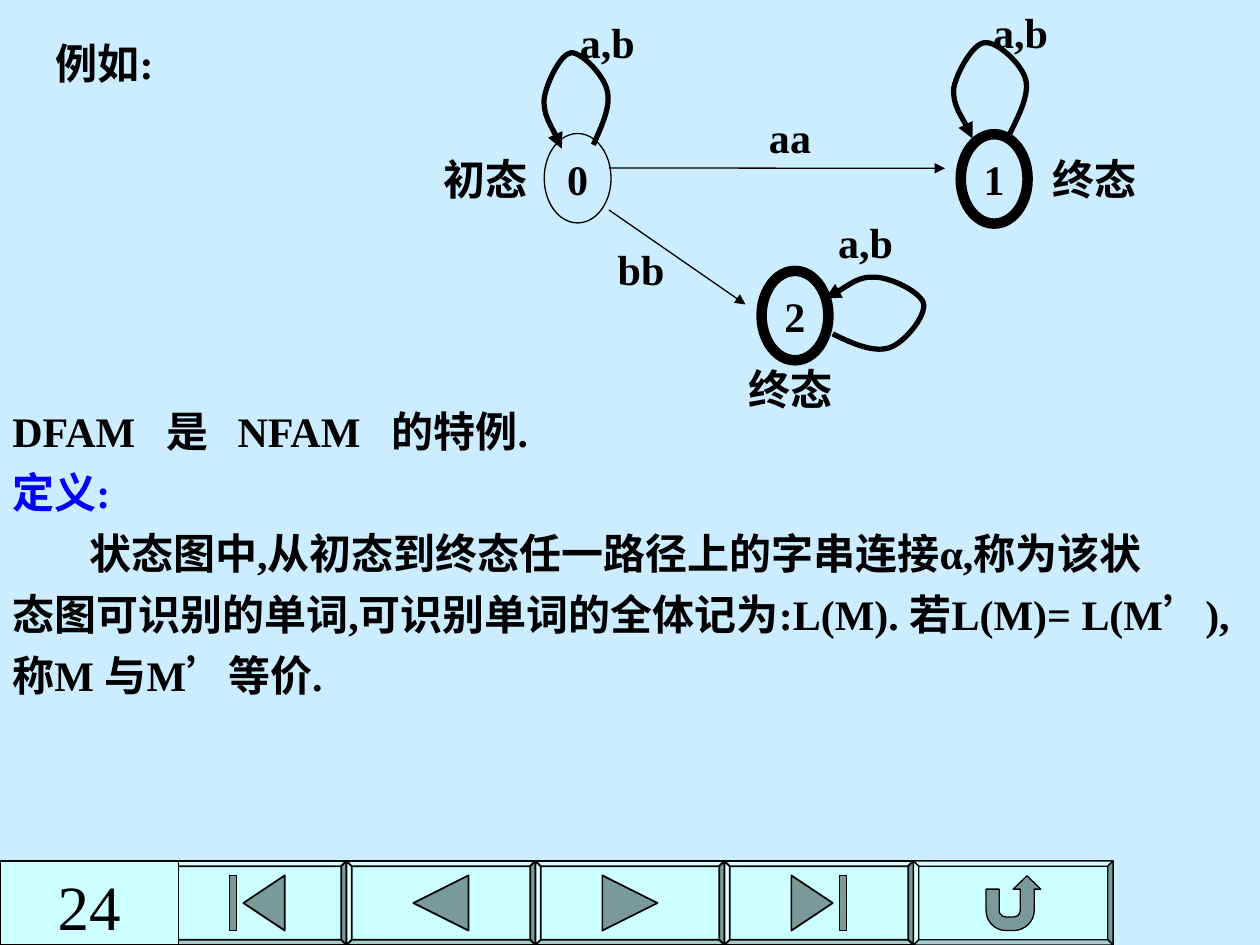
from lxml.etree import SubElement
from pptx import Presentation
from pptx.dml.color import RGBColor
from pptx.enum.shapes import MSO_CONNECTOR, MSO_SHAPE
from pptx.enum.text import MSO_ANCHOR, PP_ALIGN
from pptx.oxml.ns import qn
from pptx.util import Pt

BLACK = RGBColor(0, 0, 0)
BLUE = RGBColor(0, 0, 255)
SKY = RGBColor(0xCC, 0xEC, 0xFF)
FACE = RGBColor(0xCC, 0xFF, 0xFF)
FONT = "Times New Roman"

LABELS = [
    ("例如:", 21.6, 18, 76.3), ("初态", 246.2, 84.2, 62.6), ("终态", 594, 84.2, 62.6),
    ("终态", 420.5, 204.1, 62.6), ("aa", 432, 60.1, 38.9), ("bb", 345.4, 135.4, 41.8),
    ("a,b", 556.6, 0, 53.3), ("a,b", 324, 5.8, 46.1), ("a,b", 468, 120.2, 53.3),
]
STATES = [("0", 311, 76.3, 0.75), ("1", 549, 76.7, 6), ("2", 435.2, 154.8, 6)]
ARROWS = [(348, 120, 426, 174), (348, 96, 540, 96.2)]
LOOPS = [
    [(576.7, 77), (582.5, 65.5), (588.2, 54), (586.1, 45.4), (583.9, 36.7), (569.5, 23),
     (562.3, 24.5), (555.8, 25.2), (546.5, 41.8), (545, 50.4), (544.3, 59.8), (554.4, 74.9),
     (555.8, 79.2)],
    [(339.1, 82.8), (344.2, 71.3), (349.2, 60.5), (347, 51.8), (344.9, 42.5), (331.9, 29.5),
     (326.2, 30.2), (320.4, 31), (312.5, 46.8), (311, 56.2), (310.3, 65.5), (319.7, 80.6),
     (321.1, 85)],
    [(475.9, 190.8), (487.4, 196.6), (499.7, 201.6), (508.3, 198.7), (517, 195.8),
     (529.2, 180.7), (527.8, 173.5), (526.3, 167), (509, 158.4), (499.7, 158.4),
     (491, 157.7), (476.6, 168.5), (471.6, 170.6)],
]
BODY = [
    ("DFAM\t是\tNFAM\t的特例.", {"tabs": (88, 128.7, 216.7)}),
    ("定义:", {"color": BLUE}),
    ("状态图中,从初态到终态任一路径上的字串连接α,称为该状", {"indent": 43.8}),
    ("态图可识别的单词,可识别单词的全体记为:L(M). 若L(M)= L(M’),", {}),
    ("称M 与M’等价.", {}),
]

BUTTON_TOP, BUTTON_BOTTOM, BEVEL = 492, 540, 3
BUTTON_EDGES = [96, 198, 306, 414, 522, 636]
EDGE_SHADES = ["lightenLess", "darken", "darkenLess", "lighten"]
PREVIOUS = [(-15.75, 0), (15.75, -15.75), (15.75, 15.75)]
FIRST = [(-7.9, 0), (15.75, -15.75), (15.75, 15.75)]
FIRST_BAR = [(-15.75, -15.75), (-11.8, -15.75), (-11.8, 15.75), (-15.75, 15.75)]
RETURN = [
    (-15.5, -7.9), (-8, -7.9), (-8, 4.3), (-8, 6.4), (-6.2, 8), (-4, 8), (0, 8),
    (2.2, 8), (4, 6.4), (4, 4.3), (4, -7.9), (0, -7.9), (7.9, -15.5), (15.75, -7.9),
    (12, -7.9), (12, 4.3), (12, 10.6), (6.7, 15.75), (0, 15.75), (-4, 15.75),
    (-10.4, 15.75), (-15.5, 10.6), (-15.5, 4.3),
]
RETURN_CURVES = (3, 7, 16, 20)


def mirrored(points):
    return [(-x, y) for x, y in points]


ICONS = [[FIRST, FIRST_BAR], [PREVIOUS], [mirrored(PREVIOUS)],
         [mirrored(FIRST), mirrored(FIRST_BAR)], [RETURN]]


def add_text(para, text, size=24, bold=True, color=BLACK, align=PP_ALIGN.LEFT,
             before=0, indent=0, tabs=()):
    properties = para._p.get_or_add_pPr()
    para.alignment = align
    para.space_before = Pt(before)
    if indent:
        properties.set("indent", str(Pt(indent)))
    if tabs:
        stops = SubElement(properties, qn("a:tabLst"))
        for stop in tabs:
            SubElement(stops, qn("a:tab"), pos=str(Pt(stop)), algn="l")
    span = para.add_run()
    span.text = text
    span.font.name, span.font.size, span.font.bold = FONT, Pt(size), bold
    span.font.color.rgb = color


def style(shape, width, fill=None):
    shape.shadow.inherit = False
    shape.line.color.rgb = BLACK
    shape.line.width = Pt(width)
    if fill is None:
        shape.fill.background()
    else:
        shape.fill.solid()
        shape.fill.fore_color.rgb = fill


def add_arrowhead(shape):
    SubElement(shape.line._get_or_add_ln(), qn("a:tailEnd"), type="triangle")


def bend(outline, curves):
    """Turn the three steps from each index in curves into one Bézier curve."""
    steps = outline.findall(qn("a:lnTo"))
    for start in curves:
        triple = steps[start - 1:start + 2]
        curve = outline.makeelement(qn("a:cubicBezTo"))
        triple[0].addprevious(curve)
        for step in triple:
            curve.append(step[0])
            outline.remove(step)


def add_outline(page, contours, width, fill=None):
    """Draw one shape from contours of points, fill shade and curve indexes."""
    builder = None
    for points, shade, curves in contours:
        corners = [(Pt(x), Pt(y)) for x, y in points]
        if builder is None:
            builder = page.shapes.build_freeform(*corners[0], scale=1.0)
        else:
            builder.move_to(*corners[0])
        builder.add_line_segments(corners[1:], close=fill is not None)
    shape = builder.convert_to_shape()
    whole = shape._element.find(".//" + qn("a:path"))
    holder = whole.getparent()
    outlines = []
    for step in list(whole):
        if step.tag == qn("a:moveTo"):
            outlines.append(SubElement(holder, qn("a:path"), w=whole.get("w"), h=whole.get("h")))
        outlines[-1].append(step)
    holder.remove(whole)
    for outline, (points, shade, curves) in zip(outlines, contours):
        outline.set("fill", shade)
        bend(outline, curves)
    style(shape, width, fill)
    return shape


def add_button(page, left, right, icon):
    top, bottom = BUTTON_TOP, BUTTON_BOTTOM
    outer = [(left, top), (right, top), (right, bottom), (left, bottom)]
    inner = [(left + BEVEL, top + BEVEL), (right - BEVEL, top + BEVEL),
             (right - BEVEL, bottom - BEVEL), (left + BEVEL, bottom - BEVEL)]
    contours = [(outer, "norm", ())]
    for side, shade in enumerate(EDGE_SHADES):
        after = (side + 1) % 4
        contours.append(([outer[side], outer[after], inner[after], inner[side]], shade, ()))
    for part in icon:
        placed = [((left + right) / 2 + x, (top + bottom) / 2 + y) for x, y in part]
        contours.append((placed, "darken", RETURN_CURVES if part is RETURN else ()))
    add_outline(page, contours, 0.75 if icon == [RETURN] else 1, FACE)


def main():
    deck = Presentation()
    deck.slide_width, deck.slide_height = Pt(720), Pt(540)
    page = deck.slides.add_slide(deck.slide_layouts[6])
    page.background.fill.solid()
    page.background.fill.fore_color.rgb = SKY

    for left, right, icon in zip(BUTTON_EDGES, BUTTON_EDGES[1:], ICONS):
        add_button(page, left, right, icon)

    for text, left, top, width in STATES:
        state = page.shapes.add_shape(MSO_SHAPE.OVAL, Pt(left), Pt(top), Pt(38.2), Pt(51.1))
        style(state, width)
        state.text_frame.word_wrap = False
        state.text_frame.vertical_anchor = MSO_ANCHOR.MIDDLE
        add_text(state.text_frame.paragraphs[0], text, align=PP_ALIGN.CENTER)

    for x1, y1, x2, y2 in ARROWS:
        arrow = page.shapes.add_connector(MSO_CONNECTOR.STRAIGHT, Pt(x1), Pt(y1), Pt(x2), Pt(y2))
        arrow.line.color.rgb = BLACK
        arrow.line.width = Pt(0.75)
        add_arrowhead(arrow)
        SubElement(arrow._element.spPr, qn("a:effectLst"))

    for points in LOOPS:
        contour = (points, "none", range(1, len(points), 3))
        add_arrowhead(add_outline(page, [contour], 3))

    for text, left, top, width in LABELS:
        box = page.shapes.add_textbox(Pt(left), Pt(top), Pt(width), Pt(36))
        box.text_frame.word_wrap = False
        add_text(box.text_frame.paragraphs[0], text, align=PP_ALIGN.CENTER)

    body = page.shapes.add_textbox(0, Pt(228.3), Pt(741), Pt(210)).text_frame
    body.word_wrap = True
    body.margin_right = Pt(28)
    for index, (text, extra) in enumerate(BODY):
        para = body.add_paragraph() if index else body.paragraphs[0]
        add_text(para, text, before=6 if index else 0, **extra)

    number = page.shapes.add_shape(MSO_SHAPE.RECTANGLE, 0, Pt(BUTTON_TOP), Pt(102), Pt(48))
    style(number, 1, FACE)
    number.text_frame.vertical_anchor = MSO_ANCHOR.TOP
    add_text(number.text_frame.paragraphs[0], "24", size=36, bold=False, align=PP_ALIGN.CENTER)

    deck.save("out.pptx")


if __name__ == "__main__":
    main()
